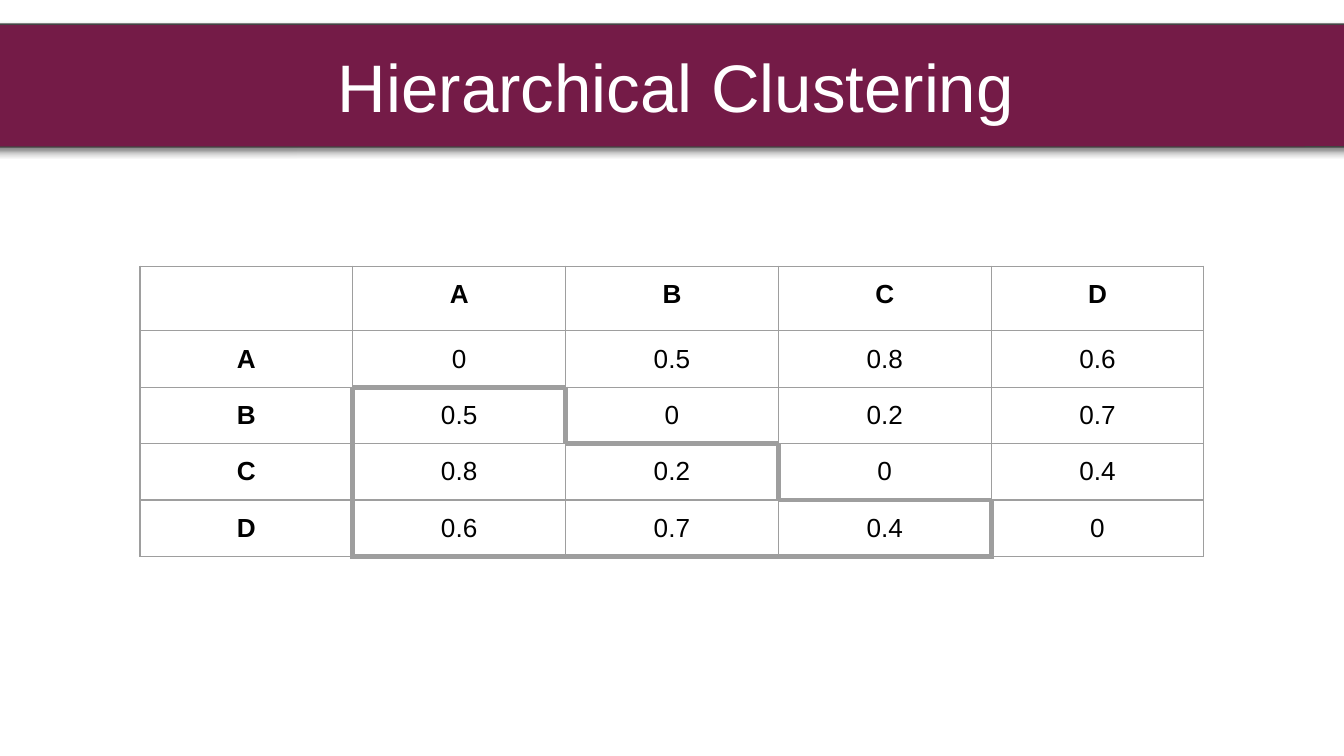
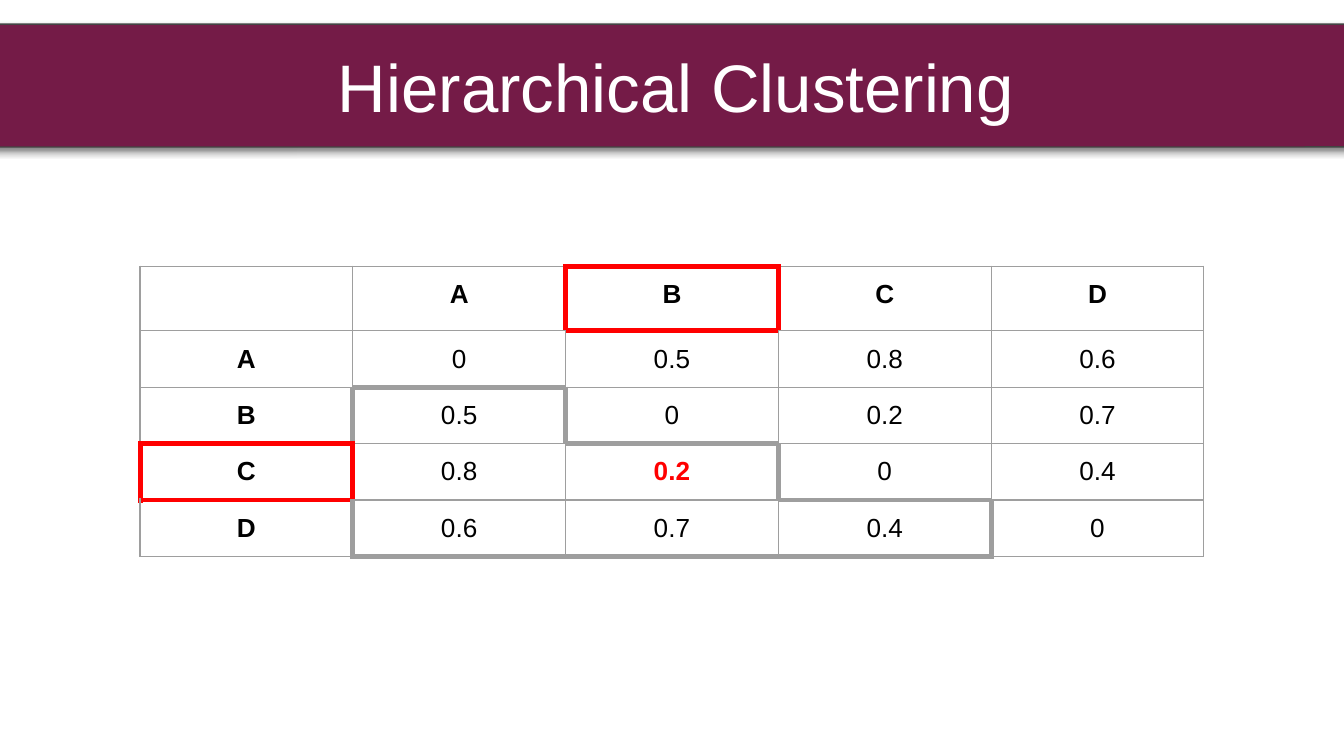
import lxml.etree
import pptx
import pptx.dml.color
import pptx.enum.shapes
import pptx.enum.text
import pptx.oxml.ns
import pptx.util

WINE = pptx.dml.color.RGBColor(0x74, 0x1B, 0x47)
CHARCOAL = pptx.dml.color.RGBColor(0x43, 0x43, 0x43)
GRAY = pptx.dml.color.RGBColor(0x9E, 0x9E, 0x9E)
RED = pptx.dml.color.RGBColor(0xFF, 0x00, 0x00)
BLACK = pptx.dml.color.RGBColor(0x00, 0x00, 0x00)
WHITE = pptx.dml.color.RGBColor(0xFF, 0xFF, 0xFF)

FONT = "Arial"
SLIDE_WIDTH = pptx.util.Inches(10)
SLIDE_HEIGHT = SLIDE_WIDTH * 9 // 16
MARGIN = pptx.util.Inches(0.1)
MARGINS = {f"margin_{side}": MARGIN for side in ("left", "top", "right", "bottom")}
THIN, THICK = 0.75, 3

TITLE = "Hierarchical Clustering"
LABELS = "ABCD"
DISTANCES = [
    ["0", "0.5", "0.8", "0.6"],
    ["0.5", "0", "0.2", "0.7"],
    ["0.8", "0.2", "0", "0.4"],
    ["0.6", "0.7", "0.4", "0"],
]
LOWER_TRIANGLE = {(row, column) for row in range(2, 5) for column in range(1, row)}
CLOSEST_PAIR = (3, 2)

SIDES = {"L": (0, -1, "R"), "R": (0, 1, "L"), "T": (-1, 0, "B"), "B": (1, 0, "T")}


def percent_box(left, top, width, height):
    horizontal, vertical = SLIDE_WIDTH / 100, SLIDE_HEIGHT / 100
    return (round(left * horizontal), round(top * vertical),
            round(width * horizontal), round(height * vertical))


def apply_format(target, values):
    for name, value in values.items():
        setattr(target, name, value)


def add_element(parent, tag, **attributes):
    return lxml.etree.SubElement(parent, pptx.oxml.ns.qn(tag), attributes)


def write_text(text_frame, text, size, color, bold=False):
    paragraph = text_frame.paragraphs[0]
    paragraph.alignment = pptx.enum.text.PP_ALIGN.CENTER
    run = paragraph.add_run()
    run.text = text
    apply_format(run.font, {"name": FONT, "size": pptx.util.Pt(size), "bold": bold})
    run.font.color.rgb = color


def add_soft_shadow(shape):
    shape.shadow.inherit = False
    effects = shape._element.spPr.find(pptx.oxml.ns.qn("a:effectLst"))
    shadow = add_element(effects, "a:outerShdw", blurRad=str(pptx.util.Pt(4.5)),
                         dist=str(pptx.util.Pt(1.5)), dir="5400000",
                         algn="bl", rotWithShape="0")
    color = add_element(shadow, "a:srgbClr", val=str(BLACK))
    add_element(color, "a:alpha", val="50000")


def add_title_band(slide):
    band = slide.shapes.add_shape(pptx.enum.shapes.MSO_SHAPE.ROUNDED_RECTANGLE,
                                  *percent_box(-2.7, 3.2, 106, 16.25))
    band.fill.solid()
    band.fill.fore_color.rgb = WINE
    band.line.color.rgb = CHARCOAL
    band.line.width = pptx.util.Pt(0.75)
    add_soft_shadow(band)
    apply_format(band.text_frame, {
        **MARGINS,
        "word_wrap": True,
        "vertical_anchor": pptx.enum.text.MSO_ANCHOR.MIDDLE,
    })
    write_text(band.text_frame, TITLE, 36, WHITE)


def outline(edges, region, color):
    for row, column in region:
        for side, (down, right, opposite) in SIDES.items():
            neighbour = (row + down, column + right)
            if neighbour not in region:
                edges[(row, column), side] = (color, THICK)
                edges[neighbour, opposite] = (color, THICK)


def draw_borders(cell, position, edges):
    properties = cell._tc.get_or_add_tcPr()
    for index, side in enumerate(SIDES):
        color, width = edges.get((position, side), (GRAY, THIN))
        line = add_element(properties, f"a:ln{side}", w=str(pptx.util.Pt(width)))
        fill = add_element(line, "a:solidFill")
        add_element(fill, "a:srgbClr", val=str(color))
        properties.insert(index, line)


def size_empty_cell(cell):
    ending = add_element(cell.text_frame.paragraphs[0]._p, "a:endParaRPr", sz="1800")
    add_element(ending, "a:latin", typeface=FONT)


def add_distance_table(slide, highlighted):
    rows = [["", *LABELS]] + [[label, *values] for label, values in zip(LABELS, DISTANCES)]
    table = slide.shapes.add_table(len(rows), len(rows[0]),
                                   *percent_box(10.42, 35.22, 79.16, 37.33)).table
    apply_format(table, {"first_row": False, "horz_banding": False})
    edges = {}
    outline(edges, LOWER_TRIANGLE, GRAY)
    if highlighted:
        row, column = highlighted
        outline(edges, {(0, column)}, RED)
        outline(edges, {(row, 0)}, RED)
    for row, values in enumerate(rows):
        for column, text in enumerate(values):
            cell, position = table.cell(row, column), (row, column)
            apply_format(cell, MARGINS)
            cell.fill.background()
            draw_borders(cell, position, edges)
            if text:
                chosen = position == highlighted
                write_text(cell.text_frame, text, 14, RED if chosen else BLACK,
                           chosen or 0 in position)
            else:
                size_empty_cell(cell)


def main():
    presentation = pptx.Presentation()
    apply_format(presentation, {"slide_width": SLIDE_WIDTH, "slide_height": SLIDE_HEIGHT})
    for highlighted in (None, CLOSEST_PAIR):
        slide = presentation.slides.add_slide(presentation.slide_layouts[6])
        add_title_band(slide)
        add_distance_table(slide, highlighted)
    presentation.save("out.pptx")


if __name__ == "__main__":
    main()
